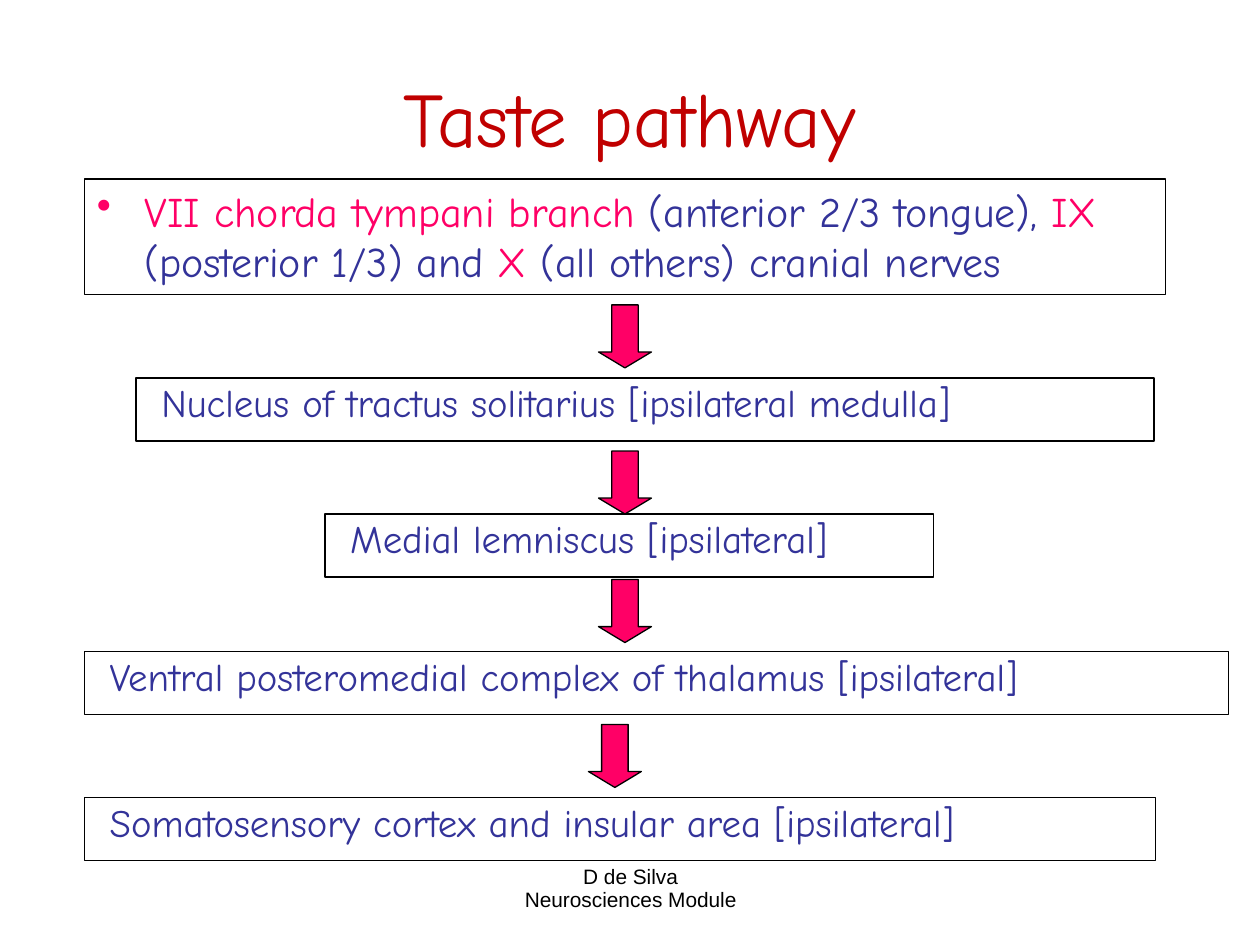
from dataclasses import dataclass

from lxml.etree import SubElement
from pptx import Presentation
from pptx.dml.color import RGBColor
from pptx.enum.shapes import MSO_SHAPE
from pptx.enum.text import MSO_ANCHOR, PP_ALIGN
from pptx.oxml.ns import qn
from pptx.util import Inches, Pt

FONT = "Comic Neue"
RED, PINK, BLUE, BLACK = "C00000", "FF0066", "333399", "000000"


@dataclass
class Stage:
    left: float
    top: float
    width: float
    text: str


@dataclass
class Arrow:
    left: float
    top: float


STAGES = [
    Stage(1.08, 3, 8.08, "Nucleus of tractus solitarius [ipsilateral medulla]"),
    Stage(2.58, 4.08, 4.83, "Medial lemniscus [ipsilateral]"),
    Stage(0.67, 5.17, 9.08, "Ventral posteromedial complex of thalamus [ipsilateral]"),
    Stage(0.67, 6.33, 8.5, "Somatosensory cortex and insular area [ipsilateral]"),
]
ARROWS = [Arrow(4.75, 2.42), Arrow(4.75, 3.58), Arrow(4.75, 4.6), Arrow(4.67, 5.75)]
NERVES = [
    ("VII chorda tympani branch ", PINK),
    ("(anterior 2/3 tongue), ", BLUE),
    ("IX", PINK),
    (" (posterior 1/3) and ", BLUE),
    ("X", PINK),
    (" (all others) cranial nerves", BLUE),
]


def color(value: str) -> RGBColor:
    return RGBColor.from_string(value)


def add_run(paragraph, text: str, size: float, fill: str, font: str = FONT) -> None:
    run = paragraph.add_run()
    run.text = text
    run.font.size = Pt(size)
    run.font.name = font
    run.font.color.rgb = color(fill)


def add_outlined(slide, kind, left: float, top: float, width: float, height: float):
    shape = slide.shapes.add_shape(
        kind, Inches(left), Inches(top), Inches(width), Inches(height))
    shape.shadow.inherit = False
    shape.fill.background()
    shape.line.color.rgb = color(BLACK)
    shape.line.width = Pt(0.75)
    shape.text_frame.word_wrap = True
    shape.text_frame.vertical_anchor = MSO_ANCHOR.TOP
    shape.text_frame.paragraphs[0].alignment = PP_ALIGN.LEFT
    return shape


def add_bullet(paragraph, fill: str) -> None:
    properties = paragraph._p.get_or_add_pPr()
    properties.set("marL", str(Inches(0.38)))
    properties.set("indent", str(-Inches(0.38)))
    bullet_color = SubElement(properties, qn("a:buClr"))
    SubElement(bullet_color, qn("a:srgbClr"), val=fill)
    SubElement(properties, qn("a:buChar"), char="•")


def add_nerves(slide) -> None:
    box = add_outlined(slide, MSO_SHAPE.RECTANGLE, 0.67, 1.42, 8.58, 0.92)
    paragraph = box.text_frame.paragraphs[0]
    add_bullet(paragraph, PINK)
    for text, fill in NERVES:
        add_run(paragraph, text, 24, fill)


def add_stage(slide, stage: Stage) -> None:
    box = add_outlined(
        slide, MSO_SHAPE.RECTANGLE, stage.left, stage.top, stage.width, 0.5)
    box.text_frame.margin_left = Inches(0.2)
    paragraph = box.text_frame.paragraphs[0]
    paragraph.line_spacing = 0.9
    add_run(paragraph, stage.text, 22.2, BLUE)


def add_arrow(slide, arrow: Arrow) -> None:
    shape = add_outlined(
        slide, MSO_SHAPE.DOWN_ARROW, arrow.left, arrow.top, 0.42, 0.5)
    shape.adjustments[0] = 0.5
    shape.adjustments[1] = 0.3
    shape.fill.solid()
    shape.fill.fore_color.rgb = color(PINK)


def add_title(slide) -> None:
    title = slide.shapes.title
    title.left, title.top = Inches(0.5), Inches(0.3)
    title.width, title.height = Inches(9), Inches(1.25)
    title.text_frame.vertical_anchor = MSO_ANCHOR.MIDDLE
    paragraph = title.text_frame.paragraphs[0]
    paragraph.alignment = PP_ALIGN.CENTER
    add_run(paragraph, "Taste pathway", 44, RED)


def add_footer(slide) -> None:
    footer = slide.shapes.add_textbox(
        Inches(3.42), Inches(6.83), Inches(3.17), Inches(0.52))
    frame = footer.text_frame
    frame.word_wrap = True
    for paragraph, text in (
        (frame.paragraphs[0], "D de Silva"),
        (frame.add_paragraph(), "Neurosciences Module"),
    ):
        paragraph.alignment = PP_ALIGN.CENTER
        paragraph.line_spacing = 0.9
        add_run(paragraph, text, 11.9, BLACK, "Arial")


def main() -> None:
    presentation = Presentation()
    presentation.slide_width = Inches(10)
    presentation.slide_height = Inches(7.5)
    slide = presentation.slides.add_slide(presentation.slide_layouts[5])

    # Heading and footer
    add_title(slide)
    add_footer(slide)

    # Pathway from the cranial nerves to the cortex
    add_nerves(slide)
    for stage in STAGES:
        add_stage(slide, stage)
    for arrow in ARROWS:
        add_arrow(slide, arrow)

    presentation.save("out.pptx")


if __name__ == "__main__":
    main()
